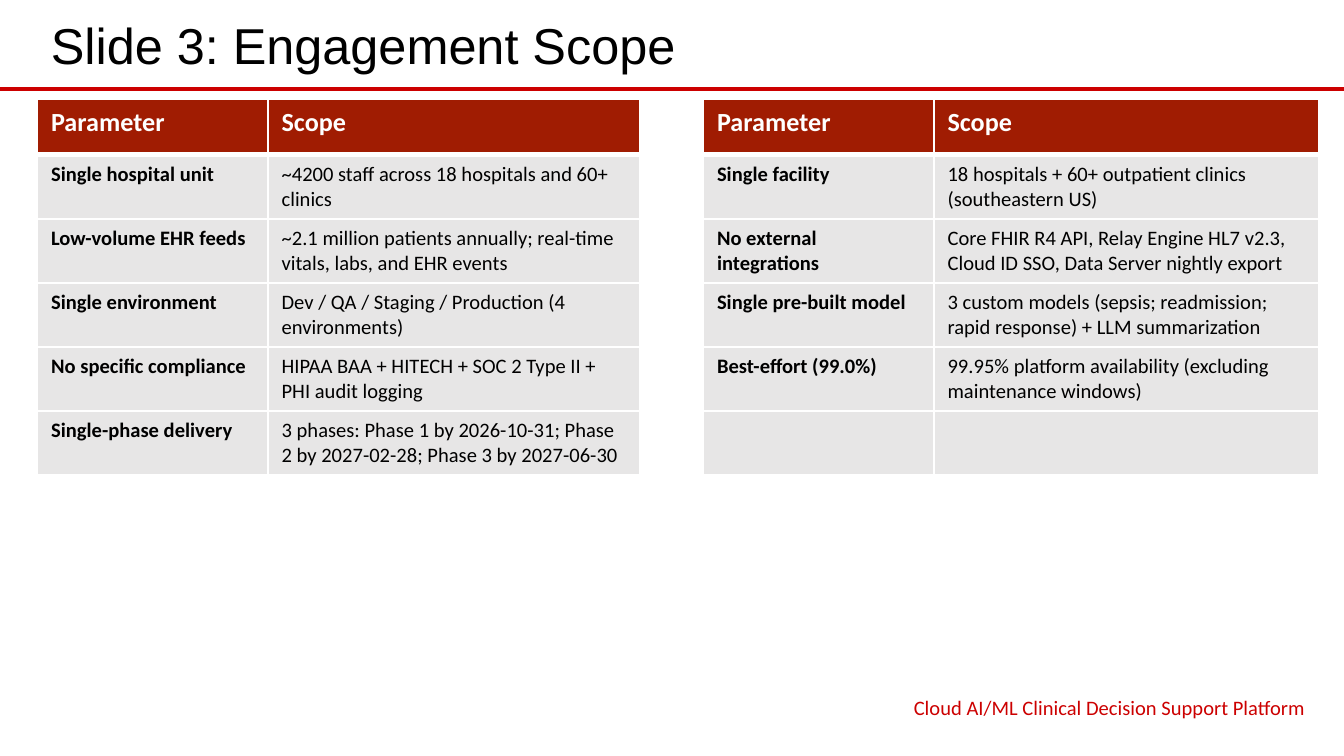
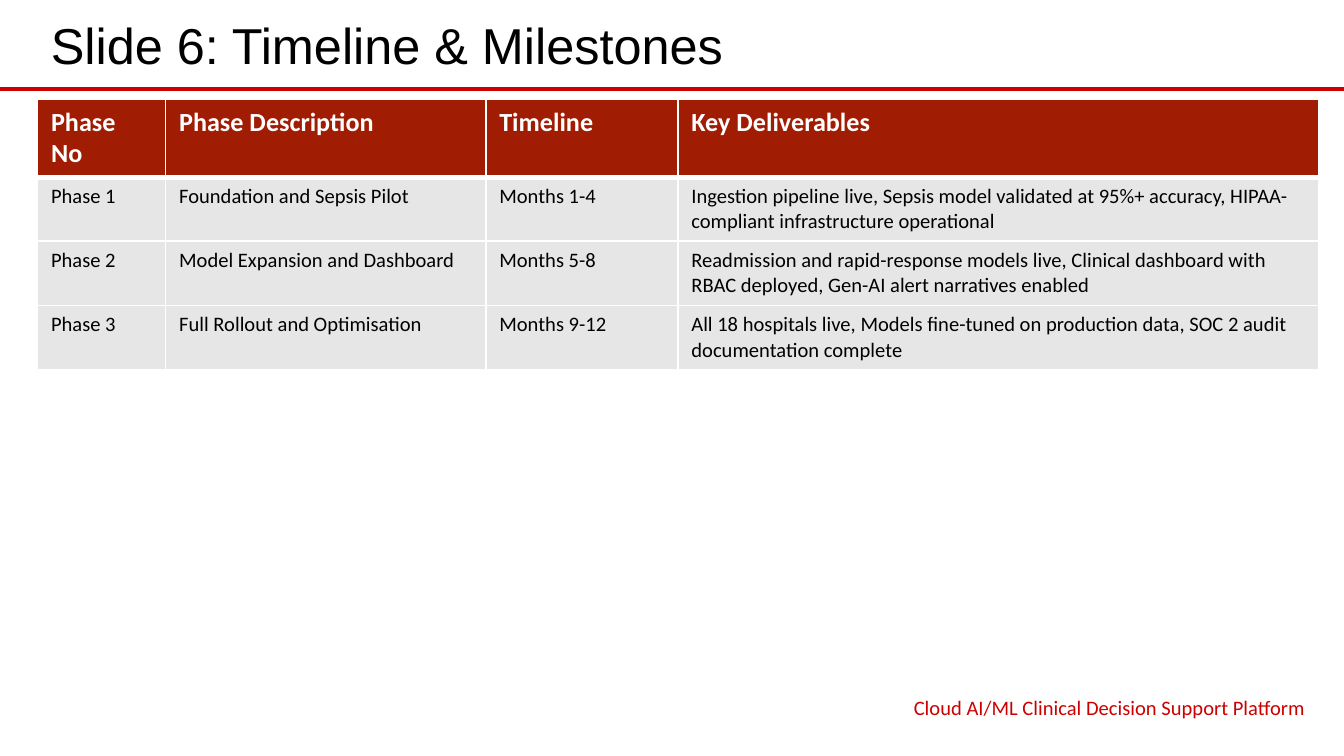
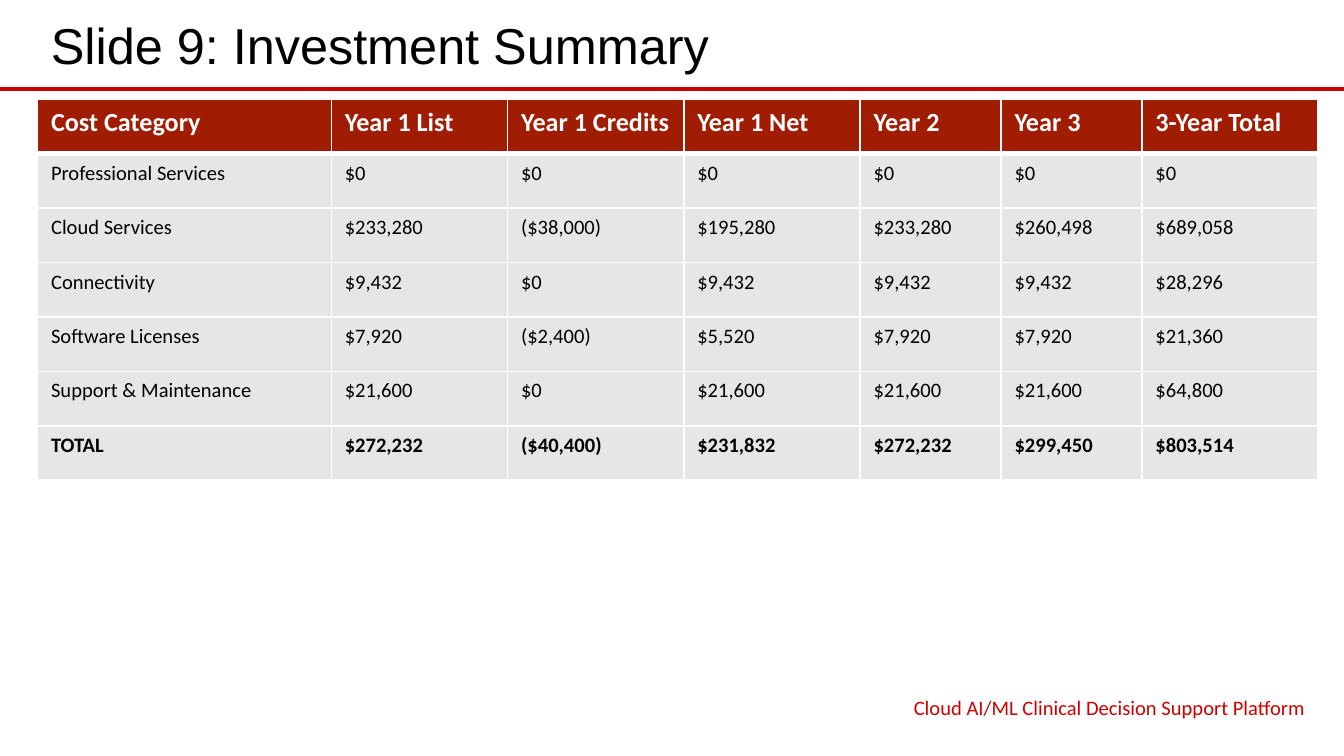
from lxml import etree
from pptx import Presentation
from pptx import util as u
from pptx.dml.color import RGBColor
from pptx.enum import shapes, text
from pptx.oxml.ns import qn

WIDTH = 10
HEIGHT = WIDTH * 9 / 16
LEFT, CONTENT_WIDTH = 0.28, 9.53
RULE_TOP, TABLE_TOP = 0.66, 0.74
ROW_HEIGHT = 2.43 / 6
RED, BRICK, GREY, WHITE, BLACK = "CC0000", "A01C02", "E7E6E6", "FFFFFF", "000000"
FOOTER = "Cloud AI/ML Clinical Decision Support Platform"

SCOPE = [
    ["Parameter", "Scope", "", "Parameter", "Scope"],
    ["Single hospital unit", "~4200 staff across 18 hospitals and 60+ clinics", "",
     "Single facility", "18 hospitals + 60+ outpatient clinics (southeastern US)"],
    ["Low-volume EHR feeds",
     "~2.1 million patients annually; real-time vitals, labs, and EHR events", "",
     "No external integrations",
     "Core FHIR R4 API, Relay Engine HL7 v2.3, Cloud ID SSO, Data Server nightly export"],
    ["Single environment", "Dev / QA / Staging / Production (4 environments)", "",
     "Single pre-built model",
     "3 custom models (sepsis; readmission; rapid response) + LLM summarization"],
    ["No specific compliance", "HIPAA BAA + HITECH + SOC 2 Type II + PHI audit logging", "",
     "Best-effort (99.0%)", "99.95% platform availability (excluding maintenance windows)"],
    ["Single-phase delivery",
     "3 phases: Phase 1 by 2026-10-31; Phase 2 by 2027-02-28; Phase 3 by 2027-06-30",
     "", "", ""],
]
MILESTONES = [
    ["Phase No", "Phase Description", "Timeline", "Key Deliverables"],
    ["Phase 1", "Foundation and Sepsis Pilot", "Months 1-4",
     "Ingestion pipeline live, Sepsis model validated at 95%+ accuracy, "
     "HIPAA-compliant infrastructure operational"],
    ["Phase 2", "Model Expansion and Dashboard", "Months 5-8",
     "Readmission and rapid-response models live, Clinical dashboard with RBAC deployed, "
     "Gen-AI alert narratives enabled"],
    ["Phase 3", "Full Rollout and Optimisation", "Months 9-12",
     "All 18 hospitals live, Models fine-tuned on production data, "
     "SOC 2 audit documentation complete"],
]
INVESTMENT = [
    ["Cost Category", "Year 1 List", "Year 1 Credits", "Year 1 Net", "Year 2", "Year 3",
     "3-Year Total"],
    ["Professional Services", "$0", "$0", "$0", "$0", "$0", "$0"],
    ["Cloud Services", "$233,280", "($38,000)", "$195,280", "$233,280", "$260,498", "$689,058"],
    ["Connectivity", "$9,432", "$0", "$9,432", "$9,432", "$9,432", "$28,296"],
    ["Software Licenses", "$7,920", "($2,400)", "$5,520", "$7,920", "$7,920", "$21,360"],
    ["Support & Maintenance", "$21,600", "$0", "$21,600", "$21,600", "$21,600", "$64,800"],
    ["TOTAL", "$272,232", "($40,400)", "$231,832", "$272,232", "$299,450", "$803,514"],
]


def color(value):
    """Turn a hex string into a colour."""
    return RGBColor.from_string(value)


def style(paragraph, size, name, ink, bold=False):
    """Format every run of a paragraph."""
    for span in paragraph.runs:
        span.font.size = u.Pt(size)
        span.font.name = name
        span.font.bold = bold
        span.font.color.rgb = color(ink)


def add_text(page, words, place, size, name, ink, align, anchor):
    """Add a one-paragraph text box."""
    box = page.shapes.add_textbox(*map(u.Inches, place))
    frame = box.text_frame
    frame.word_wrap = True
    frame.vertical_anchor = anchor
    frame.text = words
    frame.paragraphs[0].alignment = align
    style(frame.paragraphs[0], size, name, ink)


def add_rule(page):
    """Draw the red line below the title."""
    top = u.Inches(RULE_TOP)
    rule = page.shapes.add_connector(shapes.MSO_CONNECTOR.STRAIGHT, 0, top, u.Inches(WIDTH), top)
    rule.line.color.rgb = color(RED)
    rule.line.width = u.Pt(2.25)
    etree.SubElement(rule._element.spPr, qn("a:effectLst"))


def set_borders(cell, top, bottom):
    """Give a cell white borders, with its own top and bottom widths in points."""
    properties = cell._tc.get_or_add_tcPr()
    for place, (side, width) in enumerate((("L", 1), ("R", 1), ("T", top), ("B", bottom))):
        border = etree.Element(qn(f"a:ln{side}"), w=str(u.Pt(width)))
        fill = etree.SubElement(border, qn("a:solidFill"))
        etree.SubElement(fill, qn("a:srgbClr"), val=WHITE)
        properties.insert(place, border)


def add_grid(page, rows, weights, bold_columns=(), bold_rows=(), gap_columns=()):
    """Add a table whose columns share the content width by weight."""
    place = map(u.Inches, (LEFT, TABLE_TOP, CONTENT_WIDTH, ROW_HEIGHT * len(rows)))
    table = page.shapes.add_table(len(rows), len(weights), *place).table
    table.horz_banding = False
    for column, weight in zip(table.columns, weights):
        column.width = u.Inches(CONTENT_WIDTH * weight / sum(weights))
    for r, row in enumerate(rows):
        header = r == 0
        for c, words in enumerate(row):
            cell = table.cell(r, c)
            cell.text = words
            cell.margin_bottom = u.Inches(0.06)
            bold = header or r in bold_rows or c in bold_columns
            style(cell.text_frame.paragraphs[0], 14 if header else 11, "Calibri",
                  WHITE if header else BLACK, bold)
            cell.fill.solid()
            backing = WHITE if c in gap_columns else BRICK if header else GREY
            cell.fill.fore_color.rgb = color(backing)
            set_borders(cell, top=3 if r == 1 else 1, bottom=3 if header else 1)


def add_page(deck, title):
    """Add a page with the shared title, rule and footer."""
    page = deck.slides.add_slide(deck.slide_layouts[6])
    add_rule(page)
    add_text(page, title, (LEFT, 0.04, CONTENT_WIDTH, 0.58), 27, "Arial", BLACK,
             text.PP_ALIGN.LEFT, text.MSO_ANCHOR.MIDDLE)
    add_text(page, FOOTER, (6.29, 5.12, 3.52, 0.26), 11, "Calibri", RED,
             text.PP_ALIGN.RIGHT, text.MSO_ANCHOR.TOP)
    return page


def main():
    """Build the deck."""
    deck = Presentation()
    deck.slide_width, deck.slide_height = u.Inches(WIDTH), u.Inches(HEIGHT)
    add_grid(add_page(deck, "Slide 3: Engagement Scope"), SCOPE, (18, 29, 5, 18, 30),
             bold_columns=(0, 3), gap_columns=(2,))
    add_grid(add_page(deck, "Slide 6: Timeline & Milestones"), MILESTONES, (10, 25, 15, 50))
    add_grid(add_page(deck, "Slide 9: Investment Summary"), INVESTMENT,
             (25, 15, 15, 15, 12, 12, 15), bold_rows=(len(INVESTMENT) - 1,))
    deck.save("out.pptx")


if __name__ == "__main__":
    main()
